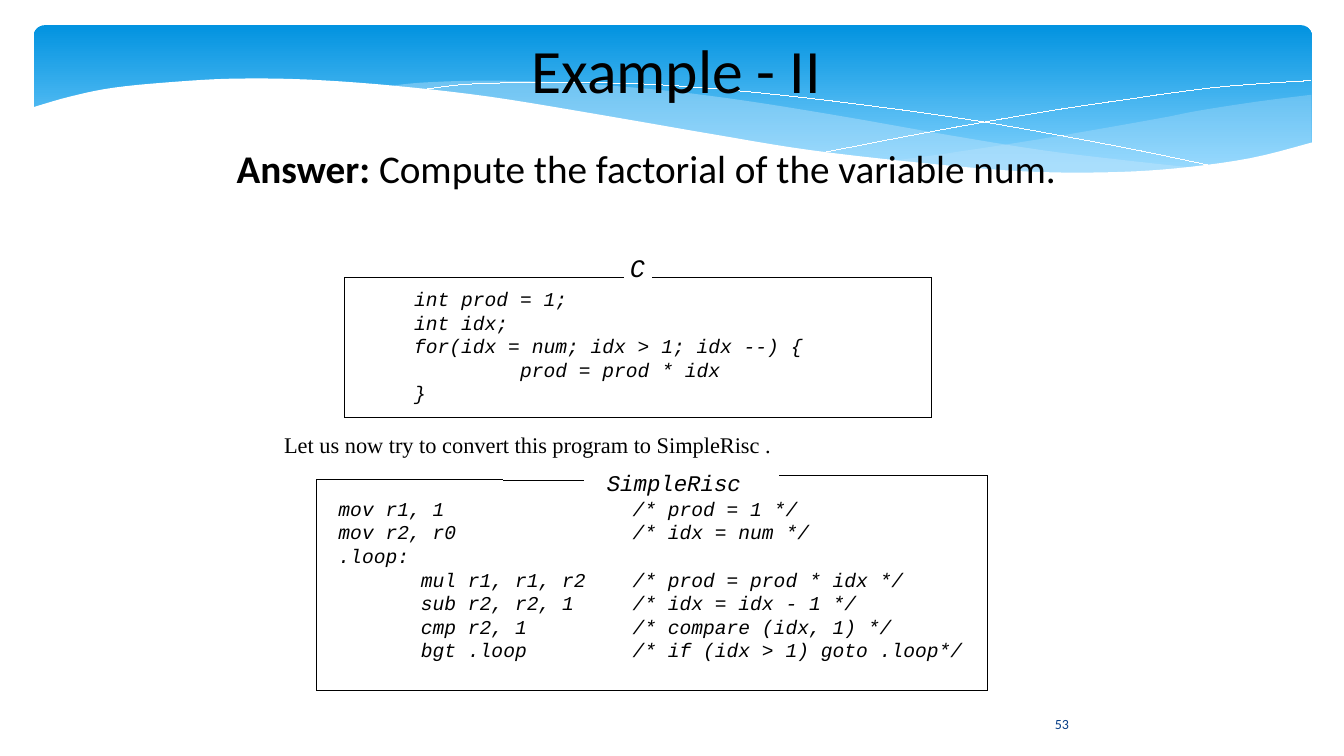
from dataclasses import dataclass
from itertools import chain, pairwise
from lxml import etree
from pptx import Presentation
from pptx import util as u
from pptx.dml.color import RGBColor
from pptx.enum import shapes, text
from pptx.oxml.ns import qn

Point = tuple[float, float]
CELL = u.Inches(0.1)  # every length below counts square grid cells
COLS, ROWS = 133.33, 75
HAIR = u.Emu(1)  # thinnest line


@dataclass(frozen=True)
class Theme:
    ink: str = "000000"
    paper: str = "FFFFFF"
    mist: str = "C6E7FC"
    deep: str = "0293E0"
    pale: str = "83D3FE"
    navy: str = "073E87"
    sans: str = "Calibri"
    serif: str = "Times New Roman"
    mono: str = "Courier New"
    title: int = 44
    lead: int = 28
    label: int = 18
    body: int = 16
    code: int = 14
    small: int = 10


T = Theme()


@dataclass(frozen=True)
class Wave:
    edges: tuple[tuple[Point, ...], ...]
    fill: str | None = None  # no fill means a white hairline
    alpha: int = 100


@dataclass(frozen=True)
class Frame:
    left: float
    right: float
    rungs: tuple[float, ...]  # rows where the side lines meet
    gap: tuple[Point, Point]  # ends of the top line beside the label


@dataclass(frozen=True)
class Note:
    area: tuple[float, float, float, float]
    lines: tuple[str, ...]
    size: int
    font: str
    color: str = T.ink
    bold: str = ""  # lead-in of the first line
    slant: bool = False
    mid: bool = False
    wrap: bool = True
    inset: bool = True
    tab: float = 0


# Banner waves: each edge is a smooth curve through its knots
WAVES = (
    Wave((((130.1, 9.4), (124.6, 10.1), (118.8, 11), (114.7, 11.8),
           (103.8, 13.7), (94.1, 15.2), (88.2, 16)),
          ((88.2, 16), (95.8, 16.7), (104.1, 17.2), (111.3, 17.2),
           (118.6, 16.6), (124.7, 15.6), (130.1, 14.2))), T.mist, 29),
    Wave((((119, 16.7), (111.6, 15.9), (103.4, 14.9), (94.1, 13.4),
           (83.9, 11.6), (74, 10), (65.2, 8.9), (56, 8.2), (48.2, 8),
           (41.8, 8.2), (38.2, 8.6)),
          ((38.2, 8.6), (45.6, 9.4), (53.9, 10.6), (65.4, 12.6),
           (77.9, 14.6), (88.7, 16.1), (98.1, 16.9), (107.6, 17.3),
           (113.1, 17.2), (119, 16.7))), T.mist, 40),
    Wave((((41.2, 9), (45.8, 8.4), (51.6, 8.2), (57.7, 8.2), (65.2, 8.4),
           (74.2, 9.1), (84.8, 10.3), (97, 12), (110.8, 14.5),
           (121, 16.6)),)),
    Wave((((81.8, 15.1), (92.7, 13), (103.5, 11.1), (111.5, 9.9),
           (119.4, 8.8), (125, 8.3), (130, 8)),)),
    Wave((((130.3, 14.1), (124, 15.7), (116.7, 16.7), (109.7, 17.1),
           (101.5, 17), (91.8, 16.2), (80.4, 14.9), (70.6, 13.3),
           (59.6, 11.4), (48.6, 9.6), (39, 8.5), (30.6, 7.9), (23.5, 7.8),
           (17.6, 8.1), (11.3, 8.7), (6.9, 9.6), (3.1, 10.7)),
          ((3.1, 22.4), (130.3, 22.4))), T.paper),
)

FRAMES = (
    Frame(34.2, 92.4, (27.5, 28.2, 30.6, 33.2, 35.7, 38.2, 40.7, 41.4),
          ((61.9, 27.5), (64.7, 27.5))),
    Frame(31.4, 98, (47.55, 48.6, 52.3, 56.1, 59.9, 63.7, 67.6, 68.55),
          ((57.9, 47.65), (77.3, 47.2))),
)

NOTES = (
    Note((102.3, 69.8, 6.1, 4), ("53",), T.small, T.sans, T.navy, mid=True),
    Note((19.2, 1.7, 95.8, 10.2), ("Example - II",), T.title, T.sans,
         mid=True, inset=False),
    Note((22.5, 13.8, 94.2, 5.7),
         ("Compute the factorial of the variable num.",),
         T.lead, T.sans, bold="Answer: "),
    Note((62.5, 25, 1.5, 3), ("C",), T.label, T.mono,
         slant=True, wrap=False, inset=False),
    Note((60.2, 46.5, 13.5, 2.7), ("SimpleRisc",), T.body, T.mono,
         slant=True, wrap=False, inset=False),
    Note((27.2, 42.3, 53.2, 3.7),
         ("Let us now try to convert this program to SimpleRisc .",),
         T.body, T.serif),
    Note((40.1, 28, 50, 12.8),
         ("int prod = 1;", "int idx;", "for(idx = num; idx > 1; idx --) {",
          "         prod = prod * idx", "}"), T.code, T.mono, slant=True),
    Note((32.6, 48.8, 69.7, 17.5),
         ("mov r1, 1\t/* prod = 1 */", "mov r2, r0\t/* idx = num */",
          ".loop:", "       mul r1, r1, r2\t/* prod = prod * idx */",
          "       sub r2, r2, 1\t/* idx = idx - 1 */",
          "       cmp r2, 1\t/* compare (idx, 1) */",
          "       bgt .loop\t/* if (idx > 1) goto .loop*/"),
         T.code, T.mono, slant=True, tab=29.17),
)


def cells(*counts: float) -> list[int]:
    return [round(n * CELL) for n in counts]


def rgb(code: str) -> RGBColor:
    return RGBColor.from_string(code)


def smooth(knots: tuple[Point, ...], steps: int = 5) -> list[Point]:
    """Catmull-Rom curve through all knots."""
    ends = (knots[0], *knots, knots[-1])
    curve = [knots[0]]
    for a, b, c, d in zip(ends, ends[1:], ends[2:], ends[3:]):
        for t in (i / steps for i in range(1, steps + 1)):
            x, y = (0.5 * (2 * q + (r - p) * t
                           + (2 * p - 5 * q + 4 * r - s) * t ** 2
                           + (3 * q - p - 3 * r + s) * t ** 3)
                    for p, q, r, s in zip(a, b, c, d))
            curve.append((x, y))
    return curve


def draw_band(slide) -> None:
    band = slide.shapes.add_shape(shapes.MSO_SHAPE.ROUNDED_RECTANGLE,
                                  *cells(3.35, 2.5, 126.8, 15.6))
    band.adjustments[0] = 0.07
    band.shadow.inherit = False
    band.line.fill.background()
    band.fill.gradient()
    band.fill.gradient_angle = 270
    stops = zip(band.fill.gradient_stops, (T.deep, T.pale), (0, 0.9))
    for stop, color, place in stops:
        stop.color.rgb, stop.position = rgb(color), place


def draw_wave(slide, wave: Wave) -> None:
    dots = [cells(*dot) for dot in chain(*map(smooth, wave.edges))]
    pen = slide.shapes.build_freeform(*dots[0])
    pen.add_line_segments(dots[1:], close=wave.fill is not None)
    shape = pen.convert_to_shape()
    shape.shadow.inherit = False
    if wave.fill is None:
        shape.fill.background()
        shape.line.color.rgb = rgb(T.paper)
        shape.line.width = HAIR
        return
    shape.line.fill.background()
    shape.fill.solid()
    shape.fill.fore_color.rgb = rgb(wave.fill)
    if wave.alpha < 100:
        tint = next(shape.element.spPr.iter(qn("a:srgbClr")))
        etree.SubElement(tint, qn("a:alpha"), val=str(wave.alpha * 1000))


def draw_frame(slide, frame: Frame) -> None:
    left, right, rungs = frame.left, frame.right, frame.rungs
    start, end = frame.gap
    sides = [(left, rungs[0], *start), (*end, right, end[1]),
             (left, rungs[-1], right, rungs[-1])]
    if end[1] < rungs[0]:
        sides.append((right, end[1], right, rungs[0]))
    sides += [(x, top, x, base) for top, base in pairwise(rungs)
              for x in (left, right)]
    for side in sides:
        line = slide.shapes.add_connector(shapes.MSO_CONNECTOR.STRAIGHT,
                                          *cells(*side))
        line.line.color.rgb = rgb(T.ink)
        line.line.width = HAIR
        etree.SubElement(line.element.spPr, qn("a:effectLst"))


def draw_note(slide, note: Note) -> None:
    frame = slide.shapes.add_textbox(*cells(*note.area)).text_frame
    frame.word_wrap = note.wrap
    if note.mid:
        frame.vertical_anchor = text.MSO_ANCHOR.MIDDLE
    if not note.inset:
        frame.margin_left = frame.margin_right = 0
        frame.margin_top = frame.margin_bottom = 0
    for i, words in enumerate(note.lines):
        para = frame.add_paragraph() if i else frame.paragraphs[0]
        if note.mid:
            para.alignment = text.PP_ALIGN.CENTER
        if note.tab:
            tabs = etree.SubElement(para._p.get_or_add_pPr(), qn("a:tabLst"))
            etree.SubElement(tabs, qn("a:tab"), algn="l",
                             pos=str(cells(note.tab)[0]))
        if note.bold and not i:
            lead = para.add_run()
            lead.text, lead.font.bold = note.bold, True
        para.add_run().text = words
        font = para.font
        font.name, font.size = note.font, u.Pt(note.size)
        font.italic = note.slant
        font.color.rgb = rgb(note.color)


def main() -> None:
    deck = Presentation()
    deck.slide_width, deck.slide_height = cells(COLS, ROWS)
    slide = deck.slides.add_slide(deck.slide_layouts[6])
    draw_band(slide)
    for draw, parts in ((draw_wave, WAVES), (draw_frame, FRAMES),
                        (draw_note, NOTES)):
        for part in parts:
            draw(slide, part)
    deck.save("out.pptx")


if __name__ == "__main__":
    main()
